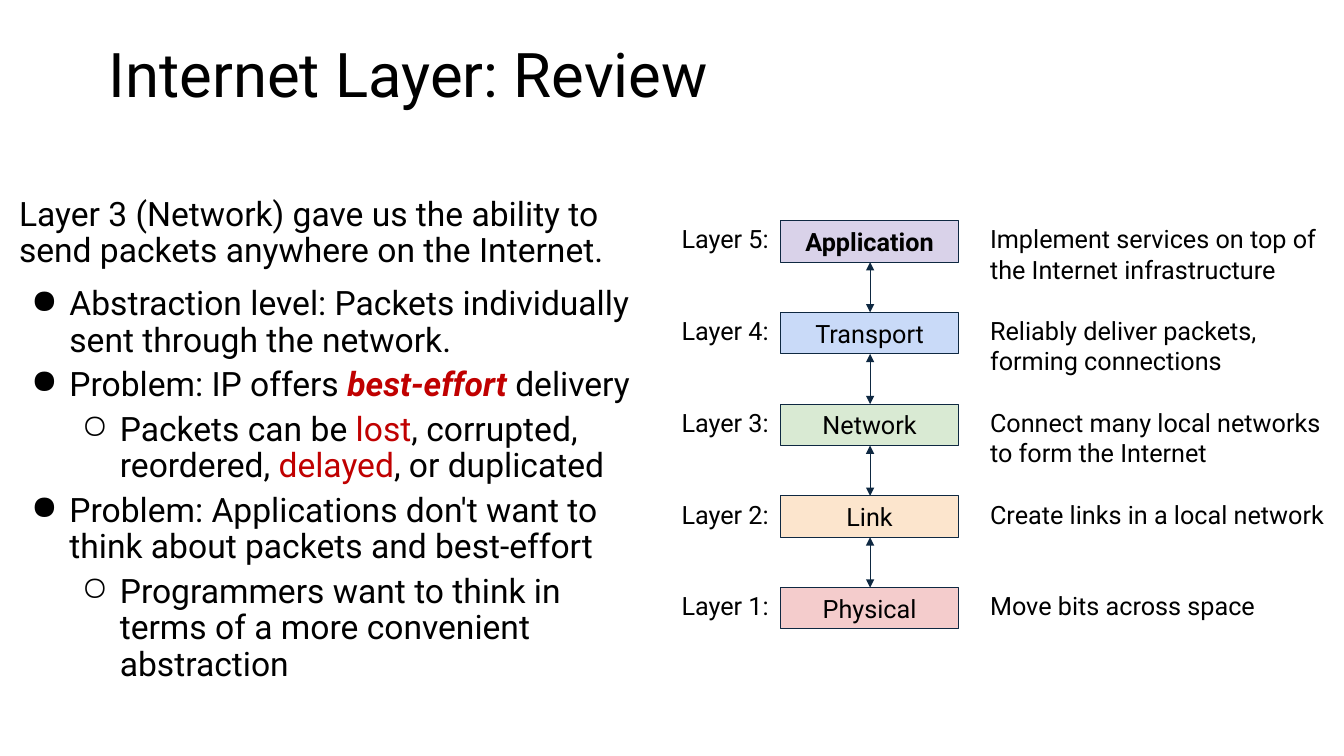
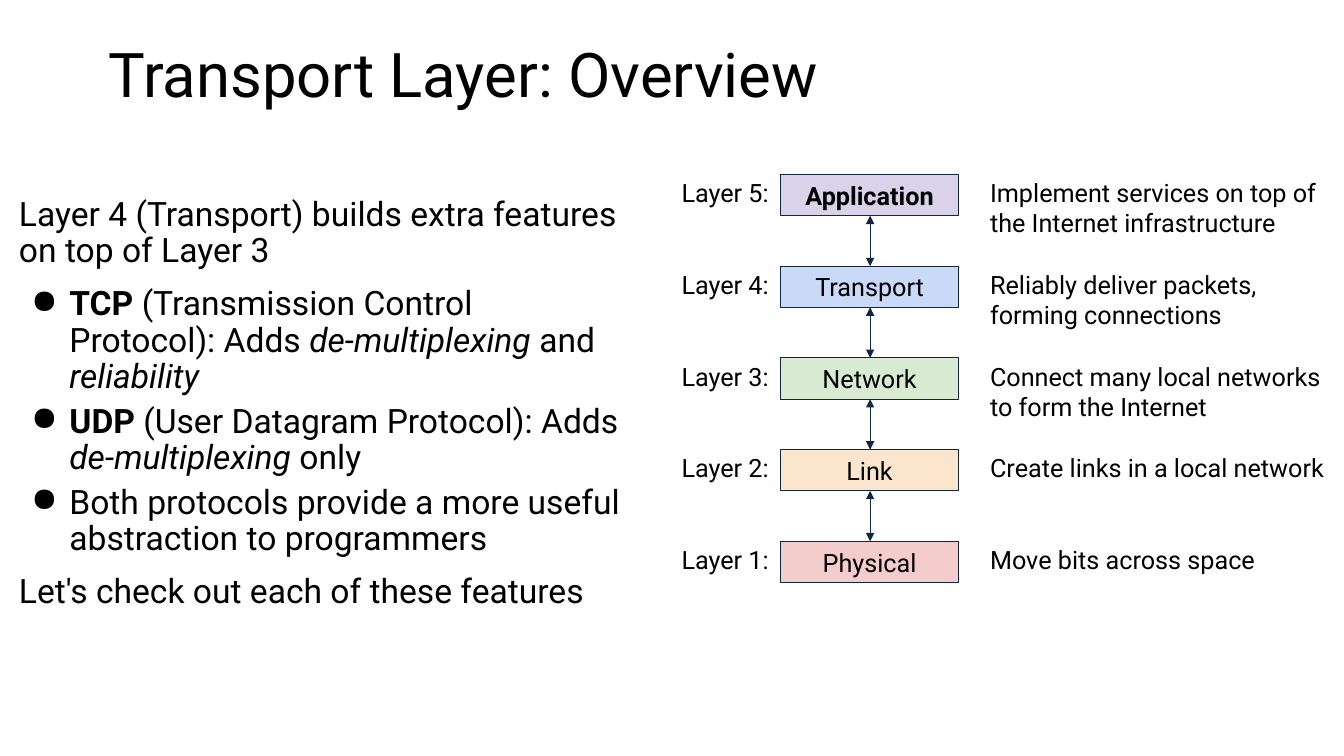
from pptx import Presentation
from pptx.dml.color import RGBColor
from pptx.enum.shapes import MSO_CONNECTOR, MSO_SHAPE
from pptx.enum.text import MSO_ANCHOR, PP_ALIGN
from pptx.oxml.ns import qn
from pptx.util import Pt
from lxml.etree import SubElement

PX = 9144
FONT = "Roboto"
HEX = {
    "ink": "000000", "red": "C00000", "edge": "0E2841",
    "app": "D9D2E9", "trans": "C9DAF8", "net": "D9EAD3",
    "link": "FCE5CD", "phys": "F4CCCC",
}
MARKS = {1: "●", 2: "○"}
LAYERS = [
    ("Application", "app", "Implement services on top of the Internet infrastructure"),
    ("Transport", "trans", "Reliably deliver packets, forming connections"),
    ("Network", "net", "Connect many local networks to form the Internet"),
    ("Link", "link", "Create links in a local network"),
    ("Physical", "phys", "Move bits across space"),
]
SLIDES = [
    ("Internet Layer: Review", (9, 186, 648, 495), 219, [
        (0, [("Layer 3 (Network) gave us the ability to send packets anywhere on the Internet.", "")]),
        (1, [("Abstraction level: Packets individually sent through the network.", "")]),
        (1, [("Problem: IP offers ", ""), ("best-effort", "bir"), (" delivery", "")]),
        (2, [("Packets can be ", ""), ("lost", "r"), (", corrupted, reordered, ", ""),
             ("delayed", "r"), (", or duplicated", "")]),
        (1, [("Problem: Applications don't want to think about packets and best-effort", "")]),
        (2, [("Programmers want to think in terms of a more convenient abstraction", "")]),
    ]),
    ("Transport Layer: Overview", (9, 186, 620, 465), 173, [
        (0, [("Layer 4 (Transport) builds extra features on top of Layer 3", "")]),
        (1, [("TCP", "b"), (" (Transmission Control Protocol): Adds ", ""),
             ("de-multiplexing", "i"), (" and ", ""), ("reliability", "i")]),
        (1, [("UDP", "b"), (" (User Datagram Protocol): Adds ", ""),
             ("de-multiplexing", "i"), (" only", "")]),
        (1, [("Both protocols provide a more useful abstraction to programmers", "")]),
        (0, [("Let's check out each of these features", "")]),
    ]),
]


def color(name):
    return RGBColor.from_string(HEX[name])


def emu(*sizes):
    return [size * PX for size in sizes]


def add_run(para, text, size, style=""):
    run = para.add_run()
    run.text = text
    font = run.font
    font.name, font.size = FONT, Pt(size)
    font.bold, font.italic = "b" in style, "i" in style
    font.color.rgb = color("red" if "r" in style else "ink")


def set_frame(shape, pad, anchor=MSO_ANCHOR.TOP):
    frame = shape.text_frame
    frame.word_wrap = True
    frame.vertical_anchor = anchor
    frame.margin_left = frame.margin_right = pad * PX
    frame.margin_top = frame.margin_bottom = pad * PX
    return frame


def add_label(slide, box, text):
    frame = set_frame(slide.shapes.add_textbox(*emu(*box)), 3)
    add_run(frame.paragraphs[0], text, 18)


def add_title(slide, box, text):
    frame = set_frame(slide.shapes.add_textbox(*emu(*box)), 10, MSO_ANCHOR.MIDDLE)
    para = frame.paragraphs[0]
    para.line_spacing = 0.9
    add_run(para, text, 44)


def add_body(slide, box, items):
    frame = set_frame(slide.shapes.add_textbox(*emu(*box)), 10)
    last = 0
    for index, (depth, runs) in enumerate(items):
        para = frame.add_paragraph() if index else frame.paragraphs[0]
        para.line_spacing = 0.9
        para.space_before = Pt(0 if depth and last else 6)
        para.space_after = Pt(6)
        if depth:
            para.level = depth - 1
            props = para._p.get_or_add_pPr()
            props.set("marL", str(50 * depth * PX))
            props.set("indent", str(-38 * PX))
            SubElement(props, qn("a:buChar")).set("char", MARKS[depth])
        for text, style in runs:
            add_run(para, text, 24, style)
        last = depth


def add_block(slide, box, text, fill, style):
    block = slide.shapes.add_shape(MSO_SHAPE.RECTANGLE, *emu(*box))
    block.shadow.inherit = False
    block.fill.solid()
    block.fill.fore_color.rgb = color(fill)
    block.line.color.rgb = color("edge")
    block.line.width = Pt(0.75)
    para = set_frame(block, 10, MSO_ANCHOR.MIDDLE).paragraphs[0]
    para.alignment = PP_ALIGN.CENTER
    add_run(para, text, 18, style)


def add_arrow(slide, x, top, end):
    arrow = slide.shapes.add_connector(MSO_CONNECTOR.STRAIGHT, *emu(x, top, x, end))
    arrow.line.color.rgb = color("edge")
    arrow.line.width = Pt(0.75)
    line = arrow.line._get_or_add_ln()
    for tip in ("a:headEnd", "a:tailEnd"):
        SubElement(line, qn(tip)).set("type", "triangle")
    SubElement(arrow._element.spPr, qn("a:effectLst"))


def add_stack(slide, left, top):
    pitch, high = 91, 41
    for index, (name, fill, note) in enumerate(LAYERS):
        y = top + index * pitch
        add_label(slide, (left, y, 100, high), f"Layer {len(LAYERS) - index}:")
        add_block(slide, (left + 101, y, 177, high), name, fill, "" if index else "b")
        add_label(slide, (left + 306, y, 347, 67), note)
        if index:
            add_arrow(slide, left + 190, y - pitch + high, y)


def main():
    deck = Presentation()
    deck.slide_width, deck.slide_height = emu(1333, 750)
    for title, box, top, items in SLIDES:
        slide = deck.slides.add_slide(deck.slide_layouts[6])
        add_title(slide, (98, 4, 1150, 145), title)
        add_stack(slide, 673, top)
        add_body(slide, box, items)
    deck.save("out.pptx")


if __name__ == "__main__":
    main()
